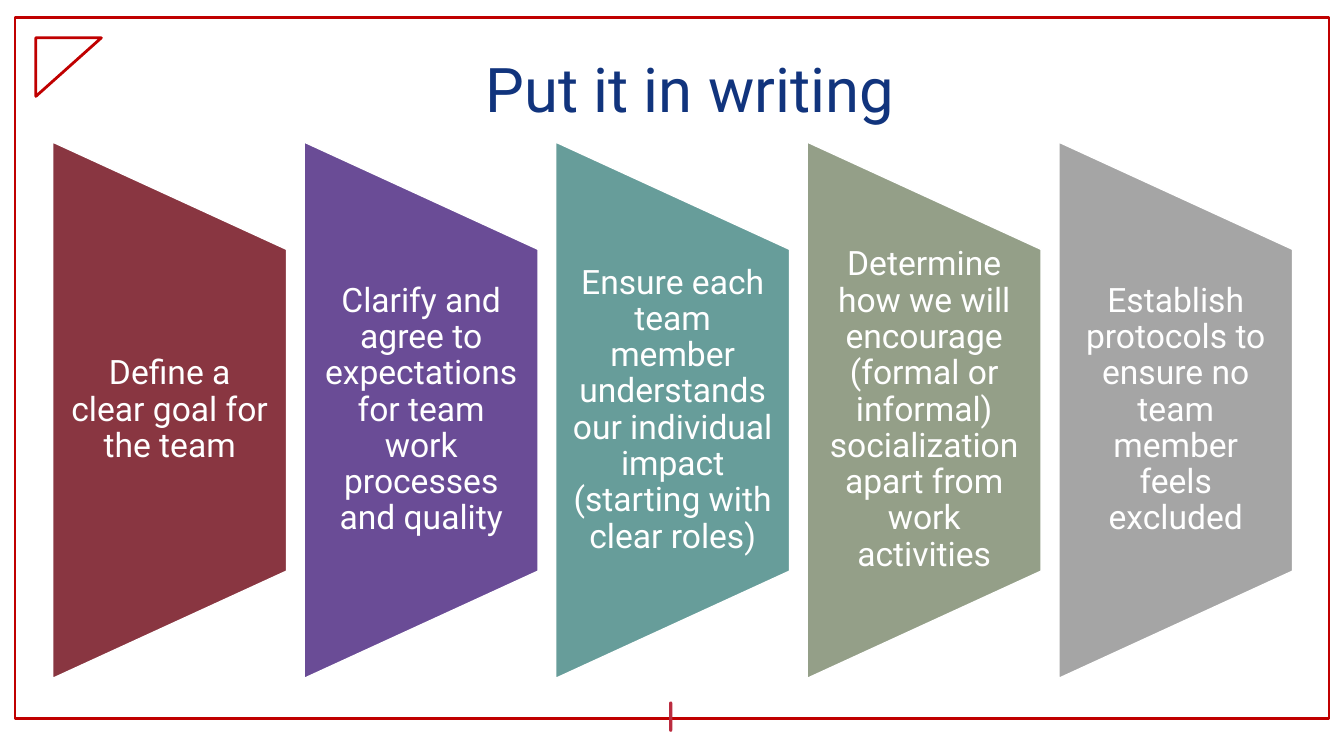
from dataclasses import dataclass

from pptx import Presentation
from pptx.dml.color import RGBColor
from pptx.enum import shapes, text
from pptx.util import Pt

TITLE = "Put it in writing"
STEPS = [
    ("Define a clear goal for the team", "893641"),
    ("Clarify and agree to expectations for team work processes and quality", "6A4C96"),
    ("Ensure each team member understands our individual impact "
     "(starting with clear roles)", "679D9A"),
    ("Determine how we will encourage (formal or informal) socialization "
     "apart from work activities", "949F88"),
    ("Establish protocols to ensure no team member feels excluded", "A5A5A5"),
]


@dataclass(frozen=True)
class Theme:
    font: str = "Roboto"
    title_size: int = 44
    body_size: int = 24
    title: str = "11347D"
    white: str = "FFFFFF"
    frame: str = "C00000"
    tick: str = "BB2C3F"


THEME = Theme()
SHAPE = shapes.MSO_SHAPE

# Panels: left edge of the first, distance between lefts, and common size
PANEL_LEFT, PANEL_STEP, PANEL_MIDDLE = 37.7, 179.65, 293
PANEL_WIDTH, PANEL_HEIGHT, LABEL_HEIGHT = 167, 383, 230


def rgb(value):
    return RGBColor.from_string(value)


def add_shape(parent, kind, box, fill=None, line=None, weight=1, rotation=0):
    sp = parent.add_shape(kind, *map(Pt, box))
    sp.shadow.inherit = False
    sp.rotation = rotation
    if fill:
        sp.fill.solid()
        sp.fill.fore_color.rgb = rgb(fill)
    else:
        sp.fill.background()
    if line:
        sp.line.color.rgb = rgb(line)
        sp.line.width = Pt(weight)
    else:
        sp.line.fill.background()
    return sp


def write(sp, words, size, color, inset=(7.2, 3.6)):
    """Centre words in a shape; inset is the side and the top/bottom margin."""
    tf = sp.text_frame
    tf.word_wrap = True
    tf.auto_size = text.MSO_AUTO_SIZE.NONE
    tf.vertical_anchor = text.MSO_ANCHOR.MIDDLE
    tf.margin_left = tf.margin_right = Pt(inset[0])
    tf.margin_top = tf.margin_bottom = Pt(inset[1])
    p = tf.paragraphs[0]
    p.text = words
    p.alignment = text.PP_ALIGN.CENTER
    p.line_spacing = 0.9
    p.font.name = THEME.font
    p.font.size = Pt(size)
    p.font.color.rgb = rgb(color)


def add_panel(parent, left, words, color):
    # The preset lies on its side, so its box is turned about the same centre
    center = left + PANEL_WIDTH / 2
    box = (center - PANEL_HEIGHT / 2, PANEL_MIDDLE - PANEL_WIDTH / 2,
           PANEL_HEIGHT, PANEL_WIDTH)
    add_shape(parent, SHAPE.FLOWCHART_MANUAL_OPERATION, box,
              fill=color, line=THEME.white, rotation=270)
    label = parent.add_textbox(Pt(left), Pt(PANEL_MIDDLE - LABEL_HEIGHT / 2),
                               Pt(PANEL_WIDTH), Pt(LABEL_HEIGHT))
    write(label, words, THEME.body_size, THEME.white, inset=(12, 0))


def main():
    prs = Presentation()
    prs.slide_width, prs.slide_height = Pt(960), Pt(540)
    s = prs.slides.add_slide(prs.slide_layouts[5])

    add_shape(s.shapes, SHAPE.RECTANGLE, (10.8, 12.7, 938.5, 500.4),
              line=THEME.frame, weight=2)
    add_shape(s.shapes, SHAPE.RIGHT_TRIANGLE, (28.1, 24.5, 41.8, 46.8),
              line=THEME.frame, weight=2, rotation=90)
    tick = add_shape(s.shapes, SHAPE.ROUND_2_DIAG_RECTANGLE, (478, 501.1, 2.2, 21.6),
                     fill=THEME.tick)
    tick.adjustments[0] = tick.adjustments[1] = 0.5

    title = s.shapes.title
    title.left, title.top, title.width, title.height = map(Pt, (36.7, 13.7, 912.2, 104.4))
    write(title, TITLE, THEME.title_size, THEME.title)

    panels = s.shapes.add_group_shape().shapes
    for i, (words, color) in enumerate(STEPS):
        add_panel(panels, PANEL_LEFT + i * PANEL_STEP, words, color)

    prs.save("out.pptx")


if __name__ == "__main__":
    main()
